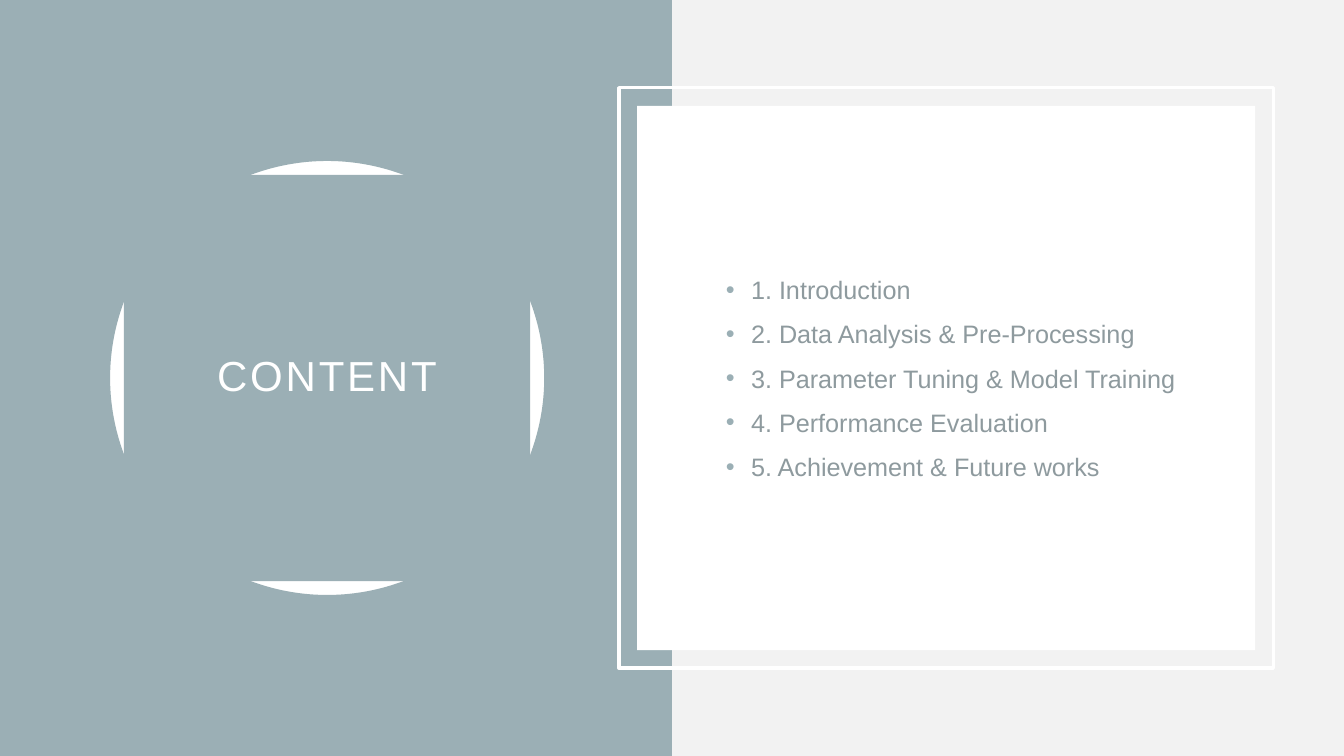
from dataclasses import dataclass

from lxml.etree import SubElement
from pptx import Presentation
from pptx.dml.color import RGBColor
from pptx.enum.shapes import MSO_SHAPE as Kind
from pptx.enum.text import MSO_ANCHOR as Anchor, PP_ALIGN as Align
from pptx.oxml.ns import qn
from pptx.slide import Slide
from pptx.text.text import Font
from pptx.util import Emu, Inches, Pt

WIDE, HIGH = Inches(13.333), Inches(7.5)
SAGE, WHITE, PALE, GRAY = "9BAFB5", "FFFFFF", "F2F2F2", "8E9A9E"
TOPICS = (
    "1. Introduction",
    "2. Data Analysis & Pre-Processing",
    "3. Parameter Tuning & Model Training",
    "4. Performance Evaluation",
    "5. Achievement & Future works",
)


@dataclass
class Box:
    """A box centred on the slide's middle row, in percent of its size."""
    mid: float
    width: float
    height: float

    def place(self) -> tuple[Emu, Emu, Emu, Emu]:
        """Return left, top, width and height."""
        wide, high = WIDE * self.width / 100, HIGH * self.height / 100
        left, top = WIDE * self.mid / 100 - wide / 2, (HIGH - high) / 2
        return Emu(int(left)), Emu(int(top)), Emu(int(wide)), Emu(int(high))


@dataclass
class Panel:
    """A plain shape with an optional fill and outline."""
    box: Box
    fill: str = ""
    line: str = ""
    kind: Kind = Kind.RECTANGLE


TITLE = Box(24.34, 30.23, 53.73)
BODY = Box(71.12, 39.46, 57.87)
PANELS = (
    Panel(Box(25, 50, 100), SAGE),
    Panel(Box(24.34, 32.56, 57.87), WHITE, SAGE, Kind.OVAL),
    Panel(TITLE, SAGE),
    Panel(Box(70.4, 48.69, 76.8), line=WHITE),
    Panel(Box(70.4, 45.99, 72), WHITE),
)


def color(code: str) -> RGBColor:
    """Turn a hex string into a colour."""
    return RGBColor.from_string(code)


def style(font: Font, size: int, code: str) -> None:
    """Set the typeface, size and colour of a font."""
    font.name, font.size = "Arial", Pt(size)
    font.color.rgb = color(code)


def draw(slide: Slide, panel: Panel) -> None:
    """Draw one panel."""
    shape = slide.shapes.add_shape(panel.kind, *panel.box.place())
    shape.shadow.inherit = False
    if panel.fill:
        shape.fill.solid()
        shape.fill.fore_color.rgb = color(panel.fill)
    else:
        shape.fill.background()
    if panel.line:
        shape.line.color.rgb = color(panel.line)
        shape.line.width = Pt(2.5)
    else:
        shape.line.fill.background()


def write(slide: Slide, box: Box, lines: tuple[str, ...]) -> list:
    """Add a middle-anchored text box and return its paragraphs."""
    frame = slide.shapes.add_textbox(*box.place()).text_frame
    frame.word_wrap = True
    frame.vertical_anchor = Anchor.MIDDLE
    frame.text = "\n".join(lines)
    return list(frame.paragraphs)


def head(slide: Slide) -> None:
    """Write the spaced-out title."""
    para, = write(slide, TITLE, ("CONTENT",))
    para.alignment, para.line_spacing = Align.CENTER, 0.9
    style(para.font, 30, WHITE)
    para.runs[0].font.size = Pt(30)
    para.runs[0].font._element.set("spc", "200")


def topics(slide: Slide) -> None:
    """Write the bulleted list of topics."""
    for para in write(slide, BODY, TOPICS):
        para.space_before = Pt(10)
        style(para.font, 18, GRAY)
        props = para._p.get_or_add_pPr()
        props.set("marL", str(Inches(0.5)))
        props.set("indent", str(-Inches(0.25)))
        tint = SubElement(props, qn("a:buClr"))
        SubElement(tint, qn("a:srgbClr"), val=SAGE)
        SubElement(props, qn("a:buFont"), typeface="Arial")
        SubElement(props, qn("a:buChar"), char="•")
        props.append(props.find(qn("a:defRPr")))


def main() -> None:
    """Build and save the slide."""
    deck = Presentation()
    deck.slide_width, deck.slide_height = WIDE, HIGH
    slide = deck.slides.add_slide(deck.slide_layouts[6])
    slide.background.fill.solid()
    slide.background.fill.fore_color.rgb = color(PALE)
    for panel in PANELS:
        draw(slide, panel)
    head(slide)
    topics(slide)
    deck.save("out.pptx")


if __name__ == "__main__":
    main()
